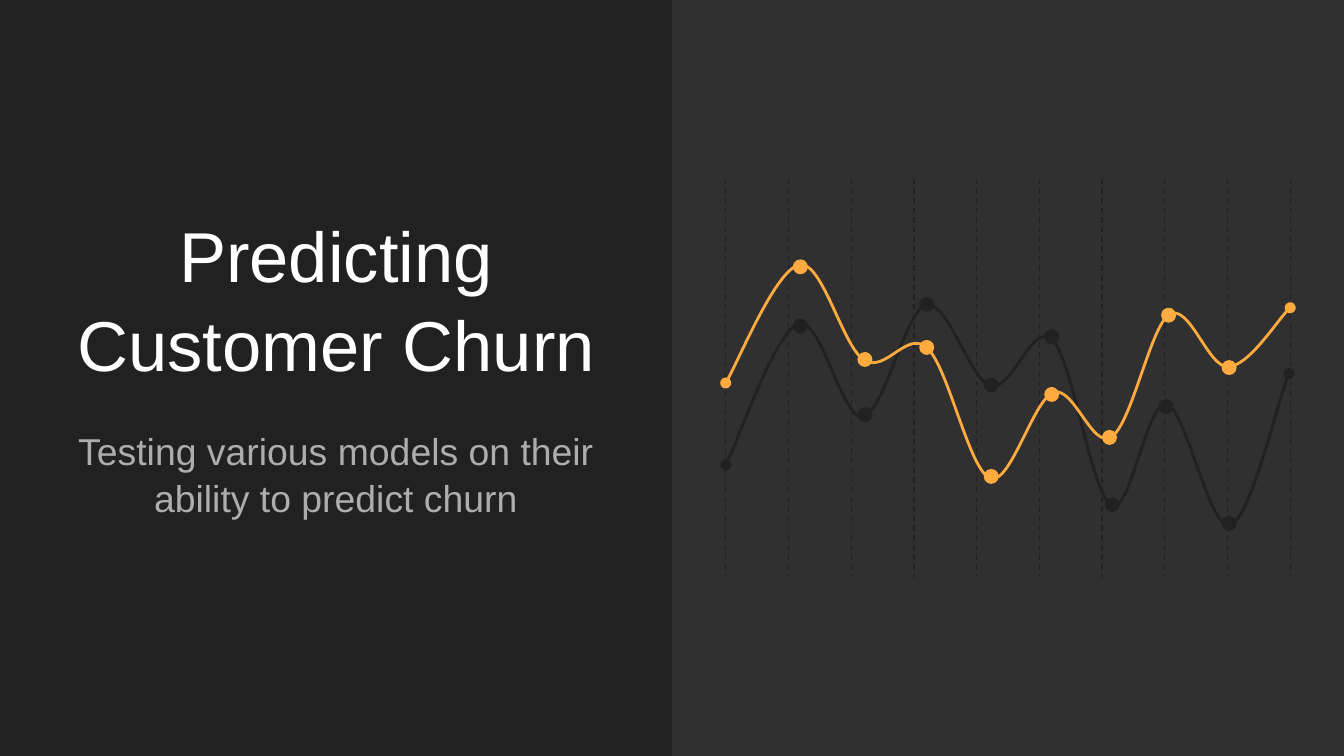
from pptx import Presentation
from pptx.dml.color import RGBColor
from pptx.enum.dml import MSO_LINE
from pptx.enum.shapes import MSO_CONNECTOR, MSO_SHAPE
from pptx.enum.text import MSO_ANCHOR, PP_ALIGN
from pptx.oxml.ns import qn
from pptx.util import Inches, Pt
from lxml.etree import SubElement

PX = Inches(1) // 200
COLORS = {
    "dark": "212121",
    "panel": "303030",
    "title": "FFFFFF",
    "subtitle": "ADADAD",
    "gold": "FFAB40",
}


def rgb(name):
    return RGBColor.from_string(COLORS[name])


presentation = Presentation()
presentation.slide_width = 2000 * PX
presentation.slide_height = 1125 * PX
slide = presentation.slides.add_slide(presentation.slide_layouts[6])
slide.background.fill.solid()
slide.background.fill.fore_color.rgb = rgb("dark")

panel = slide.shapes.add_shape(MSO_SHAPE.RECTANGLE, 1000 * PX, 0, 1000 * PX, 1125 * PX)
panel.shadow.inherit = False
panel.fill.solid()
panel.fill.fore_color.rgb = rgb("panel")
panel.line.fill.background()

headings = [
    ("Predicting Customer Churn", 270, 324, 37.8, "title", MSO_ANCHOR.BOTTOM),
    ("Testing various models on their ability to predict churn",
     614, 270, 20, "subtitle", MSO_ANCHOR.TOP),
]
for wording, top, height, size, color, anchor in headings:
    heading = slide.shapes.add_textbox(58 * PX, top * PX, 884 * PX, height * PX)
    frame = heading.text_frame
    frame.word_wrap = True
    frame.vertical_anchor = anchor
    frame.margin_left = frame.margin_right = 20 * PX
    frame.margin_top = frame.margin_bottom = 20 * PX
    paragraph = frame.paragraphs[0]
    paragraph.alignment = PP_ALIGN.CENTER
    paragraph.line_spacing = 1.05
    run = paragraph.add_run()
    run.text = wording
    run.font.name = "Arial"
    run.font.size = Pt(size)
    run.font.color.rgb = rgb(color)

GRID_LEFT, GRID_RIGHT, GRID_TOP, GRID_BOTTOM = 1080, 1920, 266, 858
GRID_COUNT = 10
grid = slide.shapes.add_group_shape().shapes
for index in range(GRID_COUNT):
    x = round(GRID_LEFT + index * (GRID_RIGHT - GRID_LEFT) / (GRID_COUNT - 1))
    gridline = grid.add_connector(
        MSO_CONNECTOR.STRAIGHT, x * PX, GRID_TOP * PX, x * PX, GRID_BOTTOM * PX)
    gridline.line.color.rgb = rgb("dark")
    gridline.line.width = Pt(0.75)
    gridline.line.dash_style = MSO_LINE.DASH
    SubElement(gridline.element.spPr, qn("a:effectLst"))

DOT = 18
trends = [
    ("dark", (1080, 692), [
        (1098, 658), (1154, 494), (1188, 482),
        (1222, 470), (1252, 624), (1284, 620),
        (1316, 614), (1348, 460), (1378, 454),
        (1410, 446), (1444, 566), (1474, 574),
        (1506, 584), (1536, 476), (1566, 506),
        (1596, 534), (1624, 736), (1654, 752),
        (1682, 768), (1706, 596), (1736, 602),
        (1764, 606), (1800, 790), (1830, 782),
        (1860, 774), (1902, 594), (1918, 556),
    ], [(1820, 770), (1726, 596), (1646, 742), (1556, 492),
        (1466, 564), (1370, 444), (1278, 608), (1182, 476)]),
    ("gold", (1080, 570), [
        (1098, 540), (1156, 400), (1190, 394),
        (1224, 388), (1254, 516), (1286, 536),
        (1318, 556), (1350, 490), (1380, 518),
        (1412, 548), (1442, 700), (1474, 712),
        (1504, 722), (1538, 594), (1568, 584),
        (1598, 574), (1626, 670), (1654, 650),
        (1684, 632), (1712, 486), (1740, 468),
        (1770, 450), (1798, 548), (1828, 546),
        (1858, 544), (1904, 472), (1920, 458),
    ], [(1182, 388), (1278, 526), (1370, 508), (1466, 700),
        (1556, 578), (1642, 642), (1730, 460), (1820, 538)]),
]
for color, start, curve_points, dots in trends:
    trend = slide.shapes.add_group_shape().shapes
    builder = trend.build_freeform(*start, scale=PX)
    builder.add_line_segments(curve_points, close=False)
    curve = builder.convert_to_shape()
    curve.shadow.inherit = False
    curve.fill.background()
    curve.line.color.rgb = rgb(color)
    curve.line.width = Pt(1.5)
    outline = curve.element.spPr.find(qn("a:ln"))
    for end in ("a:headEnd", "a:tailEnd"):
        SubElement(outline, qn(end), type="oval")

    track = next(curve.element.iter(qn("a:path")))
    segments = track.findall(qn("a:lnTo"))
    for first in range(0, len(segments), 3):
        bezier = SubElement(track, qn("a:cubicBezTo"))
        for segment in segments[first:first + 3]:
            bezier.append(segment[0])
            track.remove(segment)

    for left, top in dots:
        dot = trend.add_shape(MSO_SHAPE.OVAL, left * PX, top * PX, DOT * PX, DOT * PX)
        dot.shadow.inherit = False
        dot.fill.solid()
        dot.fill.fore_color.rgb = rgb(color)
        dot.line.color.rgb = rgb(color)
        dot.line.width = Pt(1.5)

presentation.save("out.pptx")
